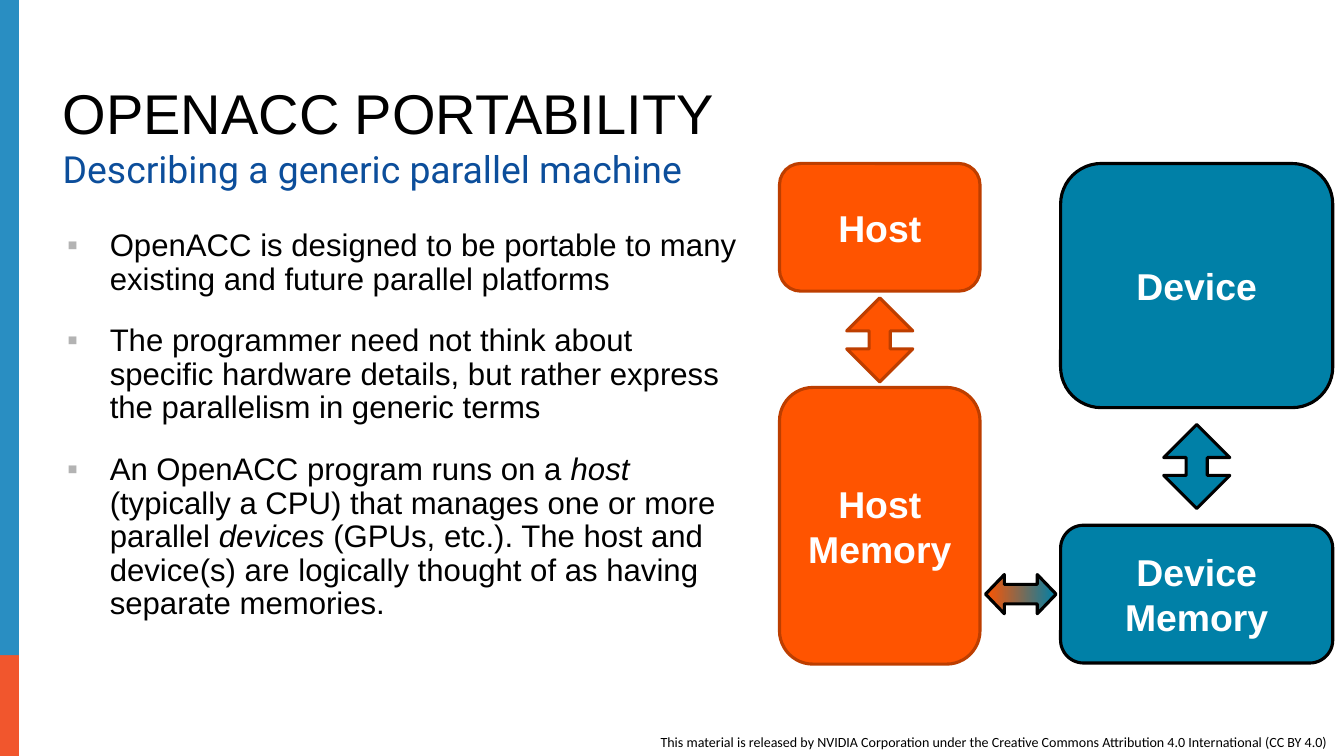
from lxml.etree import SubElement as Sub
from pptx import Presentation
from pptx.dml.color import RGBColor
from pptx.enum.shapes import MSO_SHAPE as Kind
from pptx.enum.text import MSO_ANCHOR as Anchor, MSO_AUTO_SIZE as Fit, PP_ALIGN as Align
from pptx.oxml.ns import qn
from pptx.util import Inches, Pt

BLACK = RGBColor(0x00, 0x00, 0x00)
WHITE = RGBColor(0xFF, 0xFF, 0xFF)
GRAY = RGBColor(0xB3, 0xB3, 0xB3)
NAVY = RGBColor(0x0C, 0x4E, 0x9B)
BLUE = RGBColor(0x29, 0x8E, 0xC2)
RED = RGBColor(0xF1, 0x56, 0x2D)
ORANGE = RGBColor(0xFF, 0x54, 0x00)
RUST = RGBColor(0xBD, 0x3E, 0x00)
TEAL = RGBColor(0x00, 0x80, 0xA7)

POINTS = [
    [("OpenACC is designed to be portable to many existing and future parallel platforms", False)],
    [("The programmer need not think about specific hardware details, "
      "but rather express the parallelism in generic terms", False)],
    [("An OpenACC program runs on a ", False), ("host", True),
     (" (typically a CPU) that manages one or more parallel ", False), ("devices ", True),
     ("(GPUs, etc.). The host and device(s) are logically thought of as having separate memories.", False)],
]


class Deck:
    font = "Arial"
    edge = Pt(2)
    gap = Pt(9)
    lead = 0.9
    dent = Inches(0.38)

    def __init__(self, wide, high):
        self.file = Presentation()
        self.file.slide_width, self.file.slide_height = Inches(wide), Inches(high)
        self.slide = self.file.slides.add_slide(self.file.slide_layouts[3])

    def run(self, para, text, size, color, font=None, bold=False, slant=False):
        run = para.add_run()
        run.text = text
        run.font.name = font or self.font
        run.font.size = Pt(size)
        run.font.color.rgb = color
        run.font.bold = bold
        run.font.italic = slant

    def place(self, index, *box):
        holder = self.slide.placeholders[index]
        holder.left, holder.top, holder.width, holder.height = map(Inches, box)
        frame = holder.text_frame
        frame.auto_size = Fit.NONE
        frame.word_wrap = True
        return frame

    def space(self, para, first=True):
        para.alignment = Align.LEFT
        para.line_spacing = self.lead
        para.space_before = Pt(0) if first else self.gap
        para.space_after = self.gap

    def bullet(self, para, mark=None):
        props = para._p.get_or_add_pPr()
        dent = self.dent if mark else 0
        props.set("marL", str(dent))
        props.set("indent", str(-dent))
        if mark:
            Sub(Sub(props, qn("a:buClr")), qn("a:srgbClr"), val=str(GRAY))
            Sub(props, qn("a:buFont"), typeface=self.font)
            Sub(props, qn("a:buChar"), char=mark)
        else:
            Sub(props, qn("a:buNone"))

    def title(self, text, *box):
        frame = self.place(0, *box)
        frame.vertical_anchor = Anchor.BOTTOM
        para = frame.paragraphs[0]
        para.alignment = Align.LEFT
        para.line_spacing = self.lead
        self.run(para, text, 36, BLACK)

    def lede(self, text, *box):
        para = self.place(2, *box).paragraphs[0]
        self.bullet(para)
        self.space(para)
        self.run(para, text, 24, NAVY, "Roboto")

    def list(self, items, *box):
        frame = self.place(1, *box)
        for num, parts in enumerate(items):
            para = frame.add_paragraph() if num else frame.paragraphs[0]
            self.bullet(para, "▪")
            self.space(para, num == 0)
            for text, slant in parts:
                self.run(para, text, 20, BLACK, slant=slant)

    def note(self, text, *box):
        frame = self.slide.shapes.add_textbox(*map(Inches, box)).text_frame
        frame.word_wrap = True
        self.run(frame.paragraphs[0], text, 9, BLACK, "Calibri")

    def shape(self, kind, box, fill, line=None):
        shape = self.slide.shapes.add_shape(kind, *map(Inches, box))
        shape.shadow.inherit = False
        if isinstance(fill, RGBColor):
            shape.fill.solid()
            shape.fill.fore_color.rgb = fill
        else:
            shape.fill.gradient()
            shape.fill.gradient_angle = 0
            for stop, color in zip(shape.fill.gradient_stops, fill):
                stop.color.rgb = color
        if line is None:
            shape.line.fill.background()
        else:
            shape.line.color.rgb = line
            shape.line.width = self.edge
        return shape

    def block(self, text, box, fill, line):
        frame = self.shape(Kind.ROUNDED_RECTANGLE, box, fill, line).text_frame
        frame.word_wrap = True
        frame.vertical_anchor = Anchor.MIDDLE
        para = frame.paragraphs[0]
        para.alignment = Align.CENTER
        self.run(para, text, 24, WHITE, bold=True)

    def arrow(self, kind, box, head, fill, line):
        shape = self.shape(kind, box, fill, line)
        shape.adjustments[0] = 0.5
        shape.adjustments[1] = head


def main():
    deck = Deck(12, 6.75)
    deck.shape(Kind.RECTANGLE, (0, 5.07, 0.17, 1.68), RED)
    deck.shape(Kind.RECTANGLE, (0, 0, 0.17, 5.85), BLUE)
    deck.note("This material is released by NVIDIA Corporation under the "
              "Creative Commons Attribution 4.0 International (CC BY 4.0)", 5.8, 6.5, 6.76, 0.25)
    deck.title("OPENACC PORTABILITY", 0.46, 0.71, 10.91, 0.65)
    deck.lede("Describing a generic parallel machine", 0.46, 1.3, 10.91, 0.57)
    deck.list(POINTS, 0.5, 2, 6.24, 4.04)

    host, device = (ORANGE, RUST), (TEAL, BLACK)
    for name, left, wide, tall, low, deep, mid, look in (
        ("Host", 6.96, 1.79, 1.14, 3.46, 2.47, 2.66, host),
        ("Device", 9.47, 2.43, 2.18, 4.69, 1.23, 3.79, device),
    ):
        deck.block(name, (left, 1.46, wide, tall), *look)
        deck.block(f"{name} Memory", (left, low, wide, deep), *look)
        deck.arrow(Kind.UP_DOWN_ARROW, (left + (wide - 0.59) / 2, mid, 0.59, 0.75), 0.32, *look)
    deck.arrow(Kind.LEFT_RIGHT_ARROW, (8.8, 5.13, 0.63, 0.35), 0.48, (ORANGE, TEAL), BLACK)
    deck.file.save("out.pptx")


if __name__ == "__main__":
    main()
